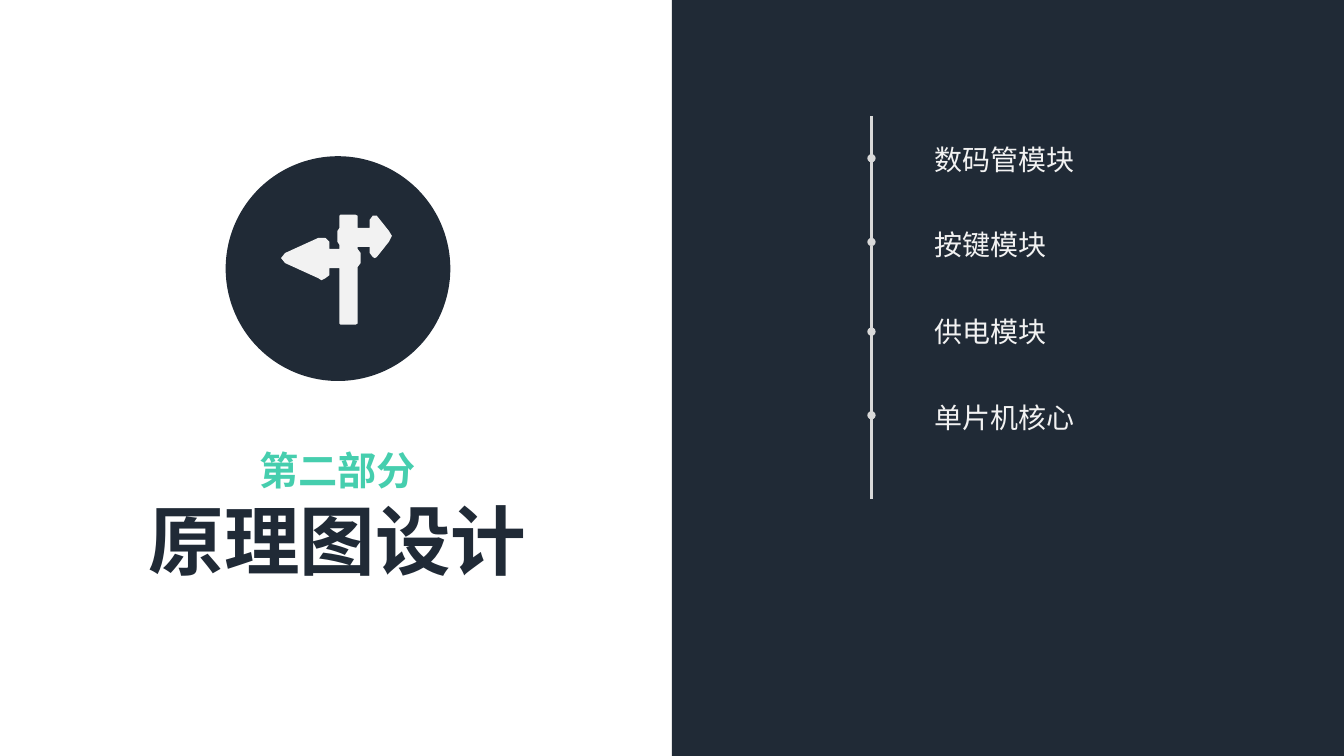
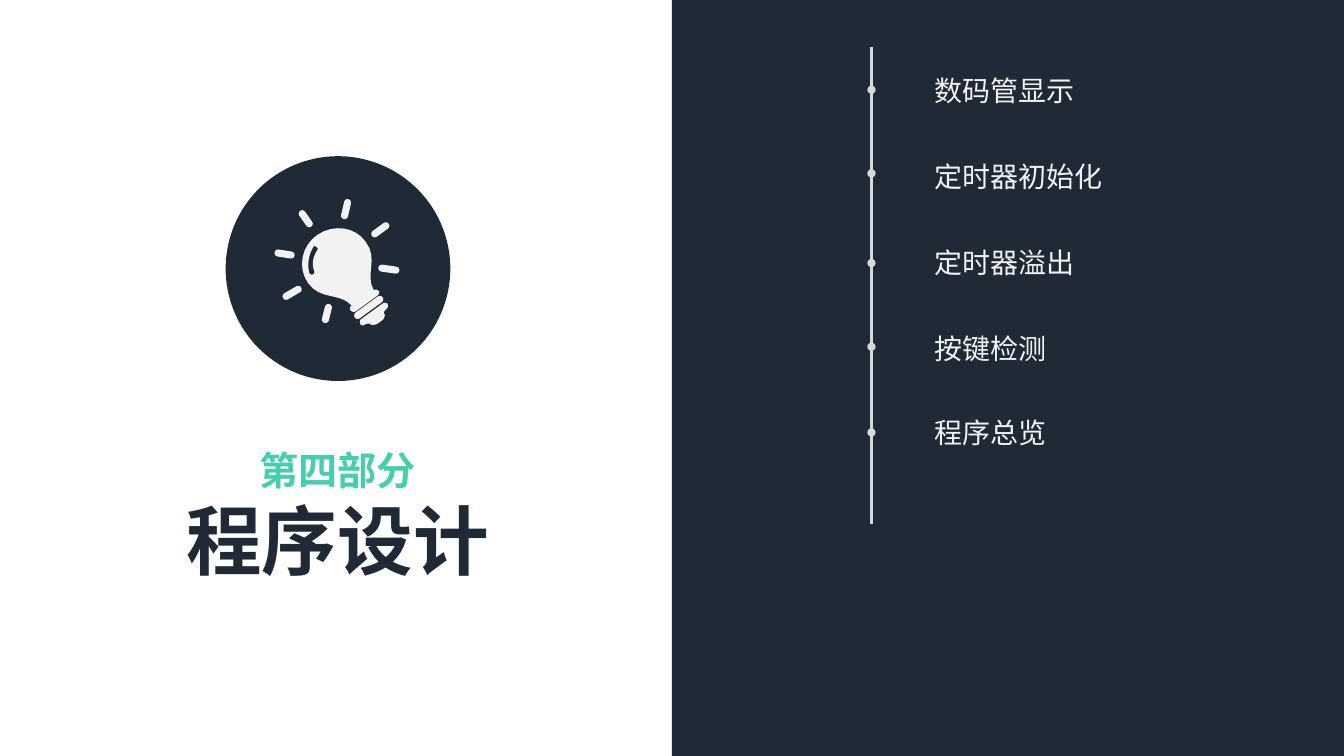
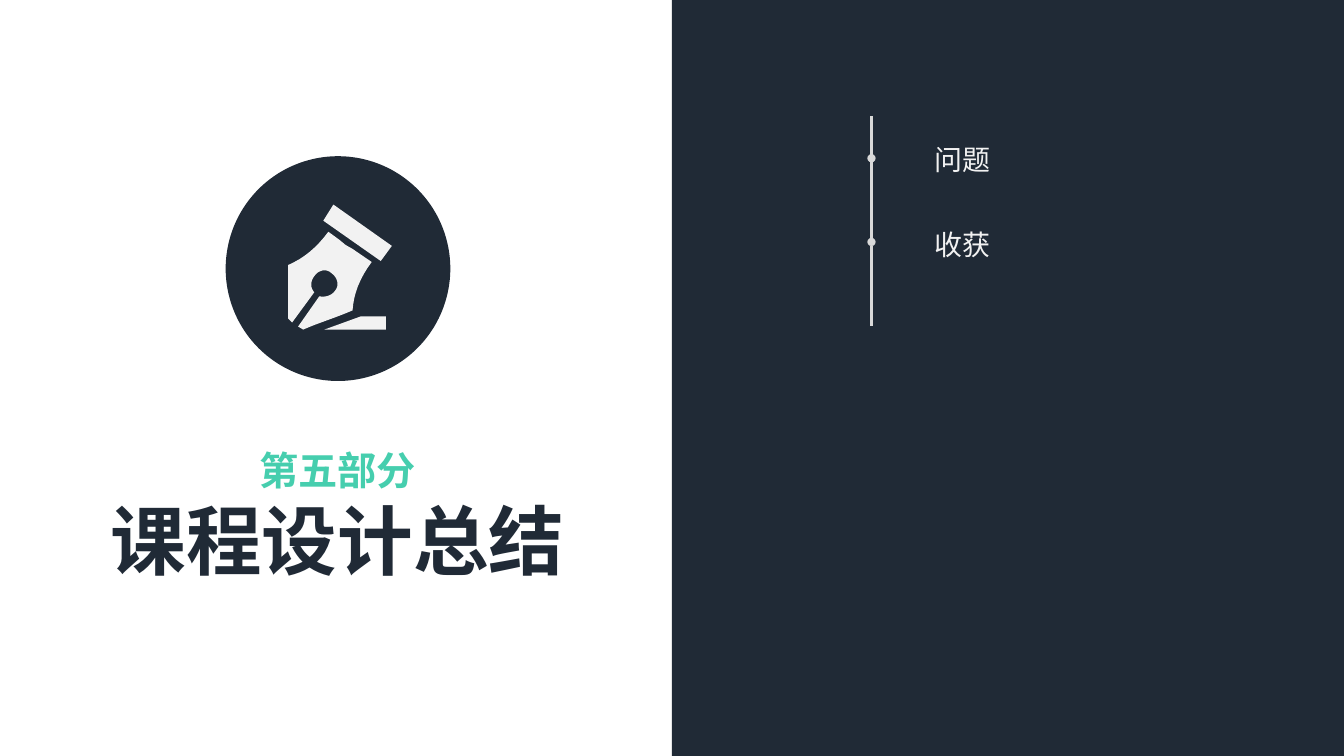
import math
from dataclasses import dataclass

from lxml import etree
from pptx import Presentation
from pptx import util as u
from pptx.dml.color import RGBColor
from pptx.enum import shapes as kinds, text as txt
from pptx.oxml.ns import qn

PX = 9144  # EMU per px, 100 px to the inch


@dataclass(frozen=True)
class Theme:
    dark: str = "202A36"
    mint: str = "46CEAE"
    pale: str = "F2F2F2"
    rail: str = "D9D9D9"
    font: str = "Noto Sans CJK SC"
    title: int = 54
    number: int = 28
    item: int = 20
    line: float = 1.5


T = Theme()
WIDE, HIGH = 1334, 750
HALF = WIDE // 2

# Offsets of each row from the top of the rail: dot, text
ROWS = ((42, 21), (125, 106), (214, 192), (297, 277), (382, 360))


def emu(*sizes):
    return [u.Emu(round(size * PX)) for size in sizes]


def paint(shape, color):
    shape.shadow.inherit = False
    shape.fill.solid()
    shape.fill.fore_color.rgb = RGBColor.from_string(color)
    shape.line.fill.background()


def label(slide, x, y, words, size, color, bold=False, center=False):
    """Put one line of text at x, which is its left edge or its centre."""
    wide = 20 + len(words) * size * 100 / 72
    high = 10 + size * 5 // 3
    left = x - wide / 2 if center else x
    frame = slide.shapes.add_textbox(*emu(left, y, wide, high)).text_frame
    frame.word_wrap = False
    frame.auto_size = txt.MSO_AUTO_SIZE.SHAPE_TO_FIT_TEXT
    para = frame.paragraphs[0]
    para.text = words
    para.alignment = txt.PP_ALIGN.CENTER if center else txt.PP_ALIGN.LEFT
    font = para.font
    font.size, font.bold, font.name = u.Pt(size), bold, T.font
    font.color.rgb = RGBColor.from_string(color)
    props = para._p.pPr.find(qn("a:defRPr"))
    etree.SubElement(props, qn("a:ea")).set("typeface", T.font)


def trace(outline, steps=8):
    """Turn pairs (corners) and sixes (Bézier curves) into plain points."""
    points = [outline[0]]
    for piece in outline[1:]:
        if len(piece) == 2:
            points.append(piece)
            continue
        ctrl = (points[-1], piece[:2], piece[2:4], piece[4:])
        for n in range(1, steps + 1):
            t = n / steps
            mix = ((1 - t) ** 3, 3 * t * (1 - t) ** 2, 3 * t * t * (1 - t), t ** 3)
            points.append(tuple(sum(m * c[axis] for m, c in zip(mix, ctrl))
                                for axis in (0, 1)))
    return points


def pill(x1, y1, x2, y2, wide=7, steps=6):
    """Outline a bar with round ends."""
    turn = math.atan2(y2 - y1, x2 - x1) - math.pi / 2
    points = []
    for x, y, start in ((x2, y2, turn), (x1, y1, turn + math.pi)):
        for n in range(steps + 1):
            angle = start + math.pi * n / steps
            points.append((x + wide / 2 * math.cos(angle),
                           y + wide / 2 * math.sin(angle)))
    return points


# Icon outlines, from the top left of the badge
SIGN = [[
    (162, 74), (150, 59), (146, 59), (143, 63), (143, 71), (131, 71),
    (131, 59), (129, 58), (114, 58), (113, 59), (113, 71), (111, 74),
    (111, 85), (113, 88), (113, 92), (103, 92), (103, 85), (99, 81),
    (92, 81), (59, 96), (55, 101), (59, 106), (92, 121), (95, 123),
    (99, 121), (103, 118), (103, 111), (113, 111), (113, 166), (114, 167),
    (129, 167), (131, 166), (131, 110), (134, 106), (134, 96), (131, 92),
    (131, 90), (143, 90), (143, 96), (146, 100), (148, 101), (150, 100),
    (162, 85), (165, 79),
]]

GLASS = [
    (152, 134), (153, 135, 152, 137, 151, 138), (129, 154),
    (127, 155, 125, 154, 124, 153), (123, 151, 123, 150, 125, 148),
    (113, 135, 94, 143, 82, 126), (71, 111, 75, 89, 91, 78),
    (107, 67, 129, 70, 139, 85), (152, 102, 138, 117, 147, 133),
    (148, 132, 151, 132, 152, 134),
]
GLINT = [
    (90, 90), (89, 89, 87, 89, 87, 90), (82, 98, 81, 108, 83, 116),
    (84, 117, 85, 118, 87, 117), (88, 117, 88, 115, 88, 114),
    (85, 107, 87, 99, 91, 93), (92, 92, 91, 90, 90, 90),
]
BASE = [
    (156, 146), (134, 162), (133, 163, 133, 165, 134, 167),
    (135, 168, 137, 168, 138, 167), (140, 166, 142, 166, 143, 166),
    (144, 167), (146, 168, 149, 167, 151, 166), (155, 163),
    (157, 162, 158, 159, 158, 157), (157, 156),
    (157, 154, 158, 153, 160, 151), (161, 150, 161, 149, 161, 148),
    (161, 145, 158, 145, 156, 146),
]
BARS = (
    (153, 142, 131, 158), (76, 57, 83, 67), (52, 96, 65, 98),
    (60, 139, 72, 132), (99, 162, 102, 150), (155, 111, 169, 113),
    (148, 77, 159, 69), (121, 46, 118, 59),
)
BULB = [GLASS, GLINT, BASE] + [pill(*bar) for bar in BARS]

NIB = [
    (66, 165), (62, 161), (62, 108), (78, 101, 90, 91, 102, 75),
    (113, 83), (119, 88), (126, 92), (145, 105),
    (133, 121, 127, 137, 126, 153), (110, 160, 93, 165, 77, 172),
    (72, 169), (93, 139), (98, 140, 105, 139, 109, 133),
    (113, 128, 111, 120, 105, 116), (100, 111, 92, 113, 88, 119),
    (84, 124, 84, 131, 88, 135),
]
FOOT = [(98, 172), (159, 172), (159, 159), (134, 159)]
CAP = [(154, 104), (165, 89), (107, 48), (97, 64)]
PEN = [NIB, FOOT, CAP]


def badge(slide, x, y, size, icon):
    group = slide.shapes.add_group_shape().shapes
    disc = group.add_shape(kinds.MSO_SHAPE.OVAL, *emu(x, y, size, size))
    paint(disc, T.dark)
    pen = None
    for outline in icon:
        first, *rest = [emu(x + px, y + py) for px, py in trace(outline)]
        if pen is None:
            pen = group.build_freeform(*first, scale=1.0)
        else:
            pen.move_to(*first)
        pen.add_line_segments(rest, close=True)
    paint(pen.convert_to_shape(), T.pale)


def stem(slide, x, low, top, dot):
    """Draw a rail segment upwards, ending in a dot if asked."""
    line = slide.shapes.add_connector(kinds.MSO_CONNECTOR.STRAIGHT,
                                      *emu(x, low, x, top))
    line.line.color.rgb = RGBColor.from_string(T.rail)
    line.line.width = u.Pt(T.line)
    props = line._element.spPr
    if dot:
        etree.SubElement(props.find(qn("a:ln")), qn("a:tailEnd")).set("type", "oval")
    etree.SubElement(props, qn("a:effectLst"))


def cover(slide, x, wide, icon, number, title):
    """Fill the light half: badge, section number and title."""
    mid = x + wide // 2 + 2
    badge(slide, mid - 111, 155, 223, icon)
    label(slide, mid, 438, number, T.number, T.mint, True, True)
    label(slide, mid, 485, title, T.title, T.dark, True, True)


def agenda(slide, x, wide, top, tail, items):
    """Fill the dark half: a dotted rail with one text per dot."""
    panel = slide.shapes.add_shape(kinds.MSO_SHAPE.RECTANGLE,
                                   *emu(x, 0, wide, HIGH))
    paint(panel, T.dark)
    rows = ROWS[:len(items)]
    for words, (_, drop) in zip(items, rows):
        label(slide, x + 251, top + drop, words, T.item, T.pale)
    stops = [0] + [dot for dot, _ in rows]
    stops.append(stops[-1] + tail)
    for n, (high, low) in enumerate(zip(stops, stops[1:])):
        stem(slide, x + 198, top + low, top + high, n > 0)


SECTIONS = (
    (SIGN, "第二部分", "原理图设计", 115, 83,
     ("数码管模块", "按键模块", "供电模块", "单片机核心")),
    (BULB, "第四部分", "程序设计", 47, 91,
     ("数码管显示", "定时器初始化", "定时器溢出", "按键检测", "程序总览")),
    (PEN, "第五部分", "课程设计总结", 115, 83, ("问题", "收获")),
)


def main():
    deck = Presentation()
    deck.slide_width, deck.slide_height = emu(WIDE, HIGH)
    for icon, number, title, top, tail, items in SECTIONS:
        slide = deck.slides.add_slide(deck.slide_layouts[6])
        cover(slide, 0, HALF, icon, number, title)
        agenda(slide, HALF, HALF, top, tail, items)
    deck.save("out.pptx")


if __name__ == "__main__":
    main()
